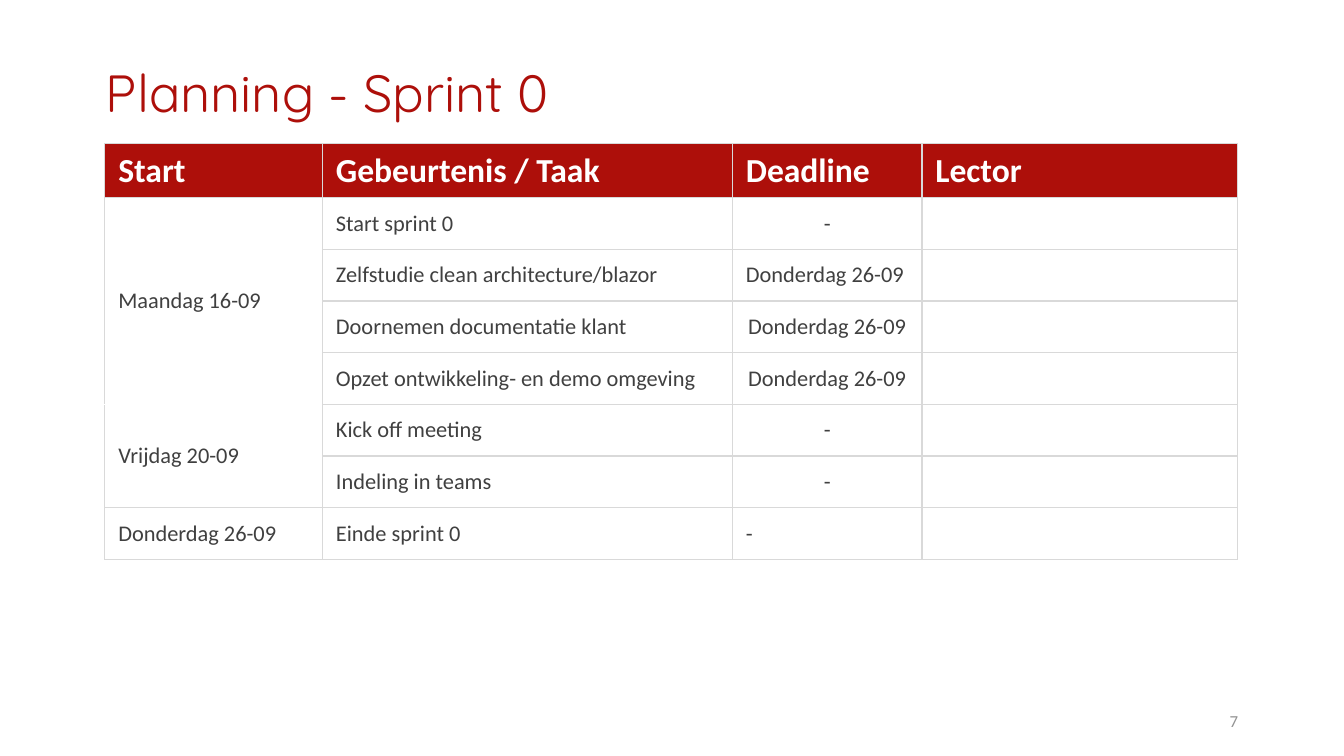
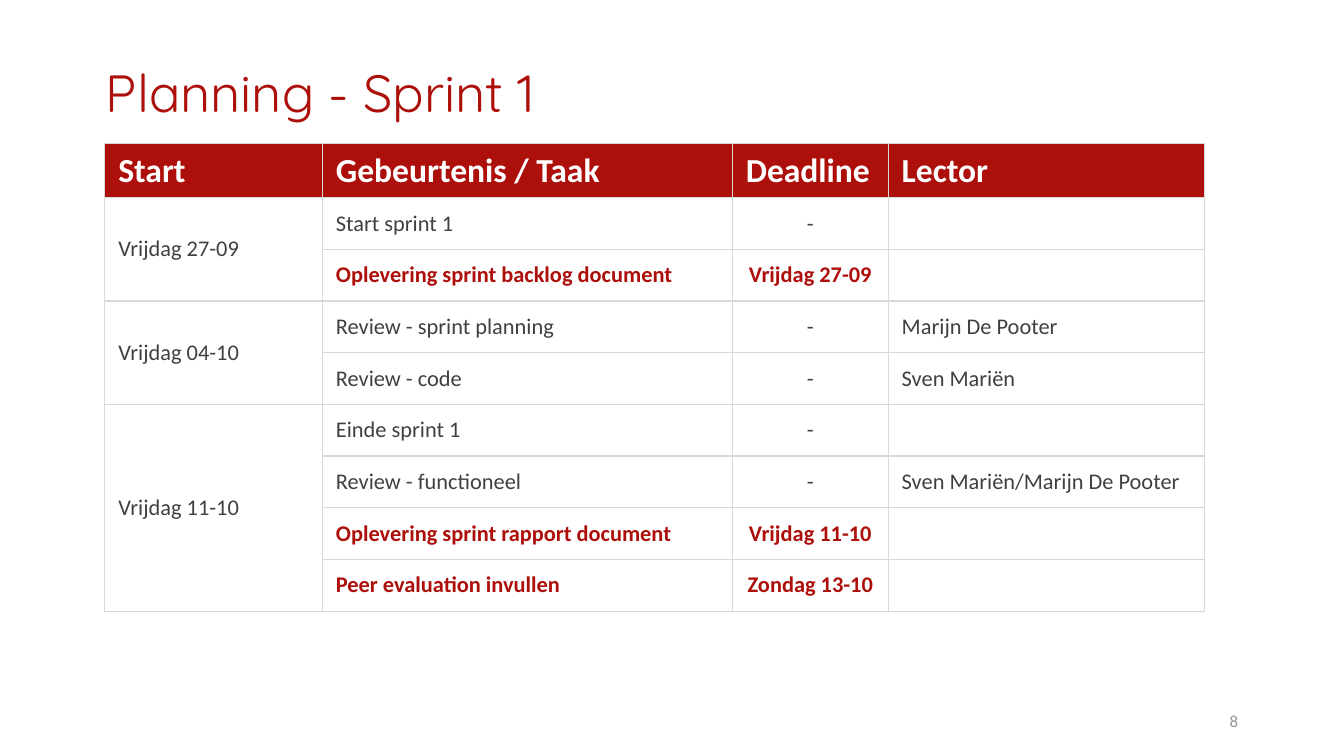
from dataclasses import dataclass

from lxml.etree import SubElement
from pptx import Presentation
from pptx.dml.color import RGBColor
from pptx.enum.text import MSO_ANCHOR as ANCHOR, PP_ALIGN as ALIGN
from pptx.oxml.ns import qn
from pptx.util import Inches, Pt

RED = RGBColor(0xAD, 0x0F, 0x0A)
WHITE = RGBColor(0xFF, 0xFF, 0xFF)
DARK = RGBColor(0x40, 0x40, 0x40)
GREY = RGBColor(0x93, 0x93, 0x93)
RULE = RGBColor(0xD9, 0xD9, 0xD9)

TITLE_FONT = "Quicksand"
BODY_FONT = "Calibri"
PLAIN_STYLE = "{2D5ABB26-0587-4C30-8999-92F81FD0307C}"

HEADERS = ["Start", "Gebeurtenis / Taak", "Deadline", "Lector"]
HEADER_H = 0.35
ROW_H = 3.08 / 8


@dataclass
class Task:
    name: str
    deadline: str = "-"
    lector: str = ""
    important: bool = False
    align: ALIGN = ALIGN.CENTER


def write(tf, text, size=12, color=DARK, bold=False, font=BODY_FONT,
          align=None, spacing=None):
    p = tf.paragraphs[0]
    p.alignment = align
    p.line_spacing = spacing
    if not text:
        SubElement(p._p, qn("a:endParaRPr"), sz=str(size * 100))
        return
    r = p.add_run()
    r.text = text
    r.font.name = font
    r.font.size = Pt(size)
    r.font.bold = bold
    r.font.color.rgb = color


class Deck:
    def __init__(self):
        self.prs = Presentation()
        self.prs.slide_width = Inches(10)
        self.prs.slide_height = Inches(10 * 9 / 16)
        self.s = None

    def slide(self, title, number):
        self.s = self.prs.slides.add_slide(self.prs.slide_layouts[6])
        self.text(title, 0.69, 0.45, 8.62, 0.49, size=28, color=RED,
                  font=TITLE_FONT, spacing=0.9)
        self.text(str(number), 8.42, 5.21, 0.89, 0.3, anchor=ANCHOR.MIDDLE,
                  size=9, color=GREY, align=ALIGN.RIGHT)

    def text(self, text, x, y, w, h, anchor=ANCHOR.TOP, **fmt):
        sp = self.s.shapes.add_textbox(Inches(x), Inches(y), Inches(w), Inches(h))
        tf = sp.text_frame
        tf.word_wrap = True
        tf.vertical_anchor = anchor
        write(tf, text, **fmt)

    def borders(self, cell, open_sides=""):
        tc_pr = cell._tc.get_or_add_tcPr()
        for side in "LRTB":
            is_open = side in open_sides
            width = Pt(1) if is_open else Pt(0.75)
            ln = SubElement(tc_pr, qn(f"a:ln{side}"), w=str(width))
            fill = SubElement(ln, qn("a:solidFill"))
            SubElement(fill, qn("a:srgbClr"), val=str(WHITE if is_open else RULE))

    def cell(self, cell, text, open_sides="", fill=None, anchor=ANCHOR.MIDDLE, **fmt):
        self.borders(cell, open_sides)
        if fill is None:
            cell.fill.background()
        else:
            cell.fill.solid()
            cell.fill.fore_color.rgb = fill
        cell.vertical_anchor = anchor
        write(cell.text_frame, text, **fmt)

    def planning(self, groups, deadline_w, open_sides=None):
        open_sides = open_sides or {}
        widths = [1.62, 3.05, deadline_w, 2.35]
        count = sum(len(tasks) for _, tasks in groups)
        table = self.s.shapes.add_table(
            count + 1, len(widths), Inches(0.78), Inches(1.07),
            Inches(sum(widths)), Inches(HEADER_H + count * ROW_H)).table
        table._tbl.tblPr.find(qn("a:tableStyleId")).text = PLAIN_STYLE
        table.horz_banding = False
        for column, width in zip(table.columns, widths):
            column.width = Inches(width)
        for i, row in enumerate(table.rows):
            row.height = Inches(ROW_H if i else HEADER_H)
        for col, header in enumerate(HEADERS):
            self.cell(table.cell(0, col), header, fill=RED, anchor=ANCHOR.TOP,
                      size=18, color=WHITE, bold=True)
        row = 1
        for start, tasks in groups:
            first = row
            for task in tasks:
                fmt = {"color": RED, "bold": True} if task.important else {}
                self.cell(table.cell(row, 0), start if row == first else "",
                          open_sides.get(start, ""))
                self.cell(table.cell(row, 1), task.name, **fmt)
                self.cell(table.cell(row, 2), task.deadline, align=task.align, **fmt)
                self.cell(table.cell(row, 3), task.lector)
                row += 1
            if len(tasks) > 1:
                table.cell(first, 0).merge(table.cell(row - 1, 0))


SPRINT_0 = [
    ("Maandag 16-09", [
        Task("Start sprint 0"),
        Task("Zelfstudie clean architecture/blazor", "Donderdag 26-09", align=ALIGN.LEFT),
        Task("Doornemen documentatie klant", "Donderdag 26-09"),
        Task("Opzet ontwikkeling- en demo omgeving", "Donderdag 26-09"),
    ]),
    ("Vrijdag 20-09", [Task("Kick off meeting"), Task("Indeling in teams")]),
    ("Donderdag 26-09", [Task("Einde sprint 0", align=ALIGN.LEFT)]),
]

SPRINT_1 = [
    ("Vrijdag 27-09", [
        Task("Start sprint 1"),
        Task("Oplevering sprint backlog document", "Vrijdag 27-09", important=True),
    ]),
    ("Vrijdag 04-10", [
        Task("Review - sprint planning", lector="Marijn De Pooter"),
        Task("Review - code", lector="Sven Mariën"),
    ]),
    ("Vrijdag 11-10", [
        Task("Einde sprint 1"),
        Task("Review - functioneel", lector="Sven Mariën/Marijn De Pooter"),
        Task("Oplevering sprint rapport document", "Vrijdag 11-10", important=True),
        Task("Peer evaluation invullen", "Zondag 13-10", important=True),
    ]),
]


def main():
    deck = Deck()
    deck.slide("Planning - Sprint 0", 7)
    deck.planning(SPRINT_0, 1.41, {"Maandag 16-09": "B", "Vrijdag 20-09": "T"})
    deck.slide("Planning - Sprint 1", 8)
    deck.planning(SPRINT_1, 1.16)
    deck.prs.save("out.pptx")


if __name__ == "__main__":
    main()
